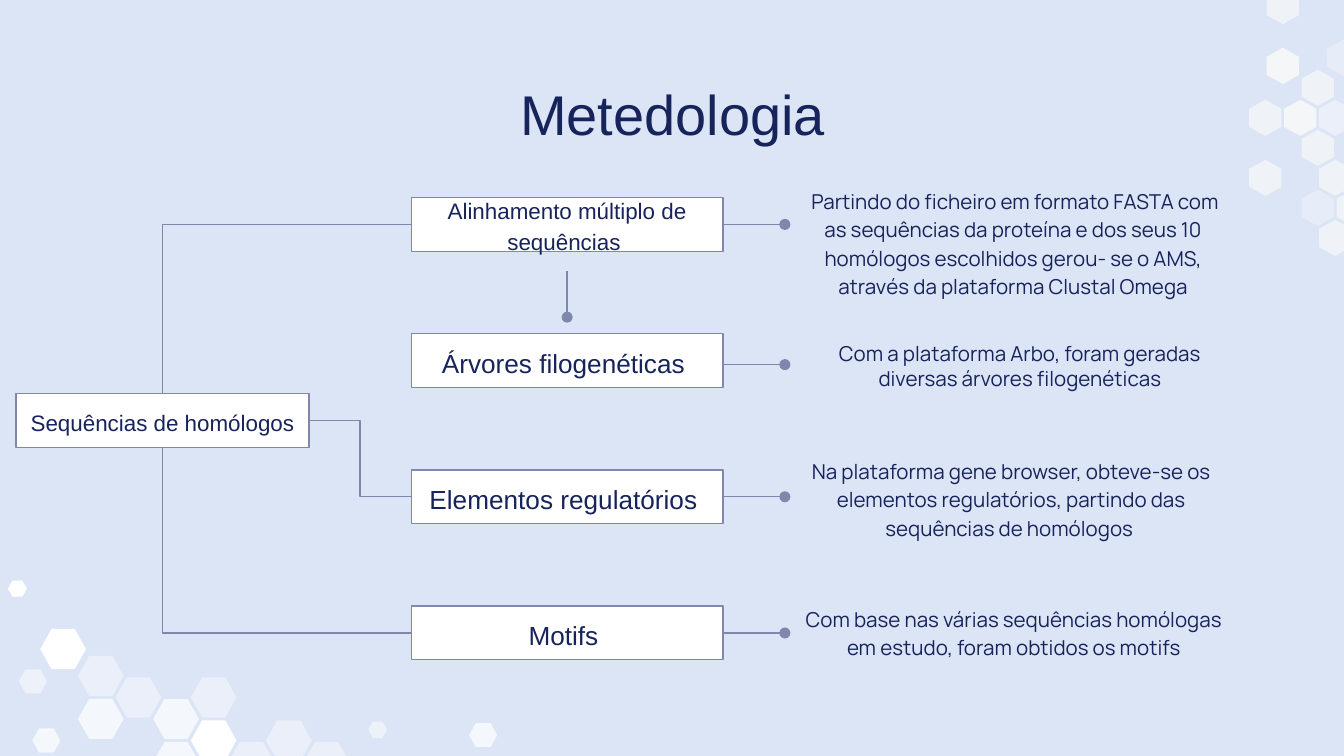
from lxml import etree
from pptx import Presentation
from pptx.dml.color import RGBColor
from pptx.enum.shapes import MSO_CONNECTOR, MSO_SHAPE
from pptx.enum.text import MSO_ANCHOR, MSO_AUTO_SIZE, PP_ALIGN
from pptx.oxml.ns import qn
from pptx.util import Inches, Pt

RECTANGLE, HEXAGON = MSO_SHAPE.RECTANGLE, MSO_SHAPE.HEXAGON
STRAIGHT, ELBOW = MSO_CONNECTOR.STRAIGHT, MSO_CONNECTOR.ELBOW
TOP, MIDDLE = MSO_ANCHOR.TOP, MSO_ANCHOR.MIDDLE
CENTER = PP_ALIGN.CENTER
NO_AUTOFIT = MSO_AUTO_SIZE.NONE

NAVY = RGBColor(0x17, 0x23, 0x5B)
SLATE = RGBColor(0x7F, 0x87, 0xAC)
PALE_BLUE = RGBColor(0xDC, 0xE5, 0xF5)
WHITE = RGBColor(0xFF, 0xFF, 0xFF)
OFF_WHITE = RGBColor(0xF8, 0xF8, 0xF8)

TOP_SIDE, LEFT_SIDE, BOTTOM_SIDE, RIGHT_SIDE = range(4)
STEP_LEFT, FIRST_TOP, LAST_TOP = 3.06, 1.47, 4.51
STEP_WIDTH, BOX_HEIGHT = 2.32, 0.4
DOT_LEFT = 5.84

STEPS = [
    ("Alinhamento múltiplo de sequências ", 12, 0),
    ("Árvores filogenéticas ", 14, 0.03),
    ("Elementos regulatórios ", 14, 0),
    ("Motifs ", 14, 0),
]
DESCRIPTIONS = [
    (" Partindo do ficheiro em formato FASTA com as sequências da proteína e dos seus 10 "
     "homólogos escolhidos gerou- se o AMS, através da plataforma Clustal Omega",
     (5.86, 1.03, 3.36, 1.54), {}),
    ("Com a plataforma Arbo, foram geradas diversas árvores filogenéticas",
     (6.11, 2.49, 2.96, 0.47), {"anchor": TOP, "spacing": 1.0, "margin": 0.05}),
    ("Na plataforma gene browser, obteve-se os elementos regulatórios, partindo das "
     "sequências de homólogos ", (5.84, 3.37, 3.37, 0.67), {}),
    ("Com base nas várias sequências homólogas em estudo, foram obtidos os motifs",
     (5.86, 4.17, 3.37, 1.06), {}),
]
LOWER_CELLS = [
    (2, 2, 70), (0, 2, 70), (-1, -1.25, 100), (3, 3, 100), (2, 4, 70), (3, 1, 40),
    (1, 1, 40), (0, 0, 40), (5, 3, 40), (6, 4, 40), (4, 4, 40),
]
LOOSE_HEXAGONS = [
    (0.14, 4.98, 0.21, 0.18, 50), (2.74, 5.37, 0.14, 0.12, 50),
    (0.06, 4.32, 0.14, 0.12, 100), (0.24, 5.42, 0.21, 0.18, 70),
    (3.49, 5.38, 0.21, 0.18, 70),
]
UPPER_CELLS = [
    (4.46, 0, 30, WHITE), (4, 2, 40, WHITE), (4, 4, 70, OFF_WHITE),
    (5, 5, 70, OFF_WHITE), (4, 6, 70, OFF_WHITE), (3, 1, 70, OFF_WHITE),
    (2, 2, 90, OFF_WHITE), (3, 3, 70, OFF_WHITE), (0, 2, 70, OFF_WHITE),
    (0, 4, 70, OFF_WHITE), (3, 5, 30, WHITE), (1, -1.73, 70, OFF_WHITE),
    (1, 0.27, 90, OFF_WHITE),
]


def inches(*lengths):
    """Convert plain numbers to slide lengths."""
    return [Inches(length) for length in lengths]


def write(shape, text, size=11, font="Manrope", anchor=MIDDLE, spacing=1.15, margin=0.1):
    """Put centred, formatted text into a shape."""
    frame = shape.text_frame
    frame.word_wrap = True
    frame.auto_size = NO_AUTOFIT
    frame.vertical_anchor = anchor
    frame.margin_left = frame.margin_right = Inches(0.1)
    frame.margin_top = frame.margin_bottom = Inches(margin)
    paragraph = frame.paragraphs[0]
    paragraph.alignment = CENTER
    paragraph.line_spacing = spacing
    run = paragraph.add_run()
    run.text = text
    run.font.name, run.font.size = font, Pt(size)
    run.font.color.rgb = NAVY


def add_box(slide, text, size, left, top, width):
    """Add an outlined white box with a label."""
    box = slide.shapes.add_shape(RECTANGLE, *inches(left, top, width, BOX_HEIGHT))
    box.shadow.inherit = False
    box.fill.solid()
    box.fill.fore_color.rgb = WHITE
    box.line.color.rgb = SLATE
    box.line.width = Pt(0.75)
    write(box, text, size=size, font="Arial")
    return box


def add_hexagon(slide, left, top, width, height, opacity, color=WHITE, rotation=0):
    """Add a translucent hexagon without an outline."""
    hexagon = slide.shapes.add_shape(HEXAGON, *inches(left, top, width, height))
    hexagon.adjustments[0] = 0.28
    hexagon.rotation = rotation
    hexagon.shadow.inherit = False
    hexagon.line.fill.background()
    hexagon.fill.solid()
    hexagon.fill.fore_color.rgb = color
    if opacity < 100:
        color_element = hexagon._element.spPr.find(".//" + qn("a:srgbClr"))
        etree.SubElement(color_element, qn("a:alpha"), val=str(opacity * 1000))


def add_link(slide, kind, start, end, dot=False):
    """Add a thin connector, with a round end if asked."""
    link = slide.shapes.add_connector(kind, *inches(*start, *end))
    link.line.color.rgb = SLATE
    link.line.width = Pt(0.75)
    if dot:
        etree.SubElement(link.line._get_or_add_ln(), qn("a:tailEnd"), type="oval")
    etree.SubElement(link._element.spPr, qn("a:effectLst"))
    return link


def add_corner(slide, step, source, side):
    """Join a step's left side to the source with a single bend."""
    link = add_link(slide, ELBOW, (0, 0), (0, 0))
    link._element.spPr.find(qn("a:prstGeom")).set("prst", "bentConnector2")
    link.begin_connect(step, LEFT_SIDE)
    link.end_connect(source, side)


def add_hexagons(slide):
    """Decorate the lower left and upper right corners."""
    for column, row, opacity in LOWER_CELLS:
        add_hexagon(slide, 0.58 + 0.28 * column, 4.88 + 0.16 * row, 0.34, 0.3, opacity)
    for hexagon in LOOSE_HEXAGONS:
        add_hexagon(slide, *hexagon)
    for column, row, opacity, color in UPPER_CELLS:
        add_hexagon(slide, 9.28 + 0.13 * column, 0.31 + 0.67 * row / 3,
                    0.27, 0.24, opacity, color, rotation=270)


def add_flow(slide):
    """Add the source, the four steps and the lines between them."""
    source = add_box(slide, "Sequências de homólogos ", 12, 0.12, 2.93, 2.18)
    pitch = (LAST_TOP - FIRST_TOP) / (len(STEPS) - 1)
    steps = []
    for row, (text, size, drop) in enumerate(STEPS):
        top = FIRST_TOP + pitch * row
        step = add_box(slide, text, size, STEP_LEFT, top, STEP_WIDTH)
        level = top + BOX_HEIGHT / 2 + drop
        link = add_link(slide, STRAIGHT, (STEP_LEFT + STEP_WIDTH, level),
                        (DOT_LEFT, level), dot=True)
        if not drop:
            link.begin_connect(step, RIGHT_SIDE)
        steps.append(step)
    add_corner(slide, steps[0], source, TOP_SIDE)
    add_corner(slide, steps[3], source, BOTTOM_SIDE)
    link = add_link(slide, ELBOW, (0, 0), (0, 0))
    link.begin_connect(source, RIGHT_SIDE)
    link.end_connect(steps[2], LEFT_SIDE)
    center = STEP_LEFT + STEP_WIDTH / 2
    add_link(slide, STRAIGHT, (center, 2.02), (center, 2.36), dot=True)


def main():
    """Build the methodology slide."""
    presentation = Presentation()
    presentation.slide_width = Inches(10)
    presentation.slide_height = presentation.slide_width * 9 // 16
    slide = presentation.slides.add_slide(presentation.slide_layouts[5])
    slide.background.fill.solid()
    slide.background.fill.fore_color.rgb = PALE_BLUE
    add_hexagons(slide)
    title = slide.shapes.title
    title.left, title.top, title.width, title.height = inches(0.79, 0.49, 8.43, 0.63)
    write(title, "Metedologia", size=30, font="Arial", anchor=TOP, spacing=1.0)
    add_flow(slide)
    for text, place, options in DESCRIPTIONS:
        write(slide.shapes.add_textbox(*inches(*place)), text, **options)
    presentation.save("out.pptx")


if __name__ == "__main__":
    main()
